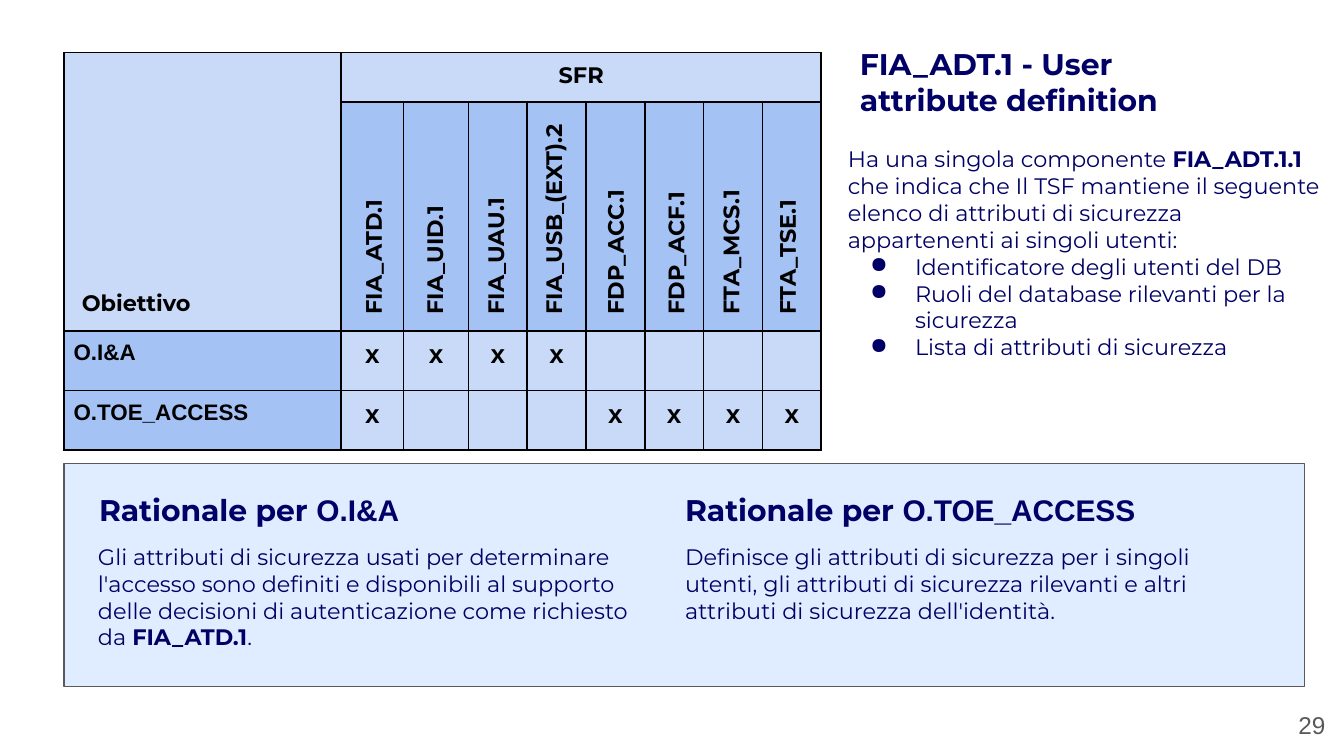
"""Builds a slide that maps security objectives to SFRs, with their rationale."""
from dataclasses import dataclass

import lxml.etree
import pptx
import pptx.dml.color
import pptx.enum.shapes
import pptx.enum.text
import pptx.oxml
import pptx.oxml.ns
import pptx.util

Pt = pptx.util.Pt
Align = pptx.enum.text.PP_ALIGN
Fit = pptx.enum.text.MSO_AUTO_SIZE
tag = pptx.oxml.ns.qn


@dataclass
class Theme:
    navy: str = "000066"
    black: str = "000000"
    gray: str = "595959"
    pale: str = "C9DAF8"
    blue: str = "A4C2F4"
    ice: str = "E0ECFF"
    head: int = 16
    mark: int = 14
    page: int = 13
    body: int = 12
    main: str = "Montserrat"
    alt: str = "Arial"


theme = Theme()


def tint(name):
    return pptx.dml.color.RGBColor.from_string(name)


def write(para, text, size=theme.body, font=theme.main, color=theme.navy, bold=False, align=None):
    run = para.add_run()
    run.text = text
    run.font.size = Pt(size)
    run.font.name = font
    run.font.bold = bold
    run.font.color.rgb = tint(color)
    if align is not None:
        para.alignment = align


deck = pptx.Presentation()
deck.slide_width, deck.slide_height = Pt(720), Pt(405)
slide = deck.slides.add_slide(deck.slide_layouts[6])
shapes = slide.shapes

labels = [
    ("FIA_ATD.1", 33.4, 199.8, 100),
    ("FIA_UID.1", 34.8, 232.6, 102),
    ("FIA_UAU.1", 31.5, 265.3, 78.5),
    ("FIA_USB_(EXT).2", 31.5, 296.3, 120),
    ("FDP_ACC.1", 31.5, 329.4, 120),
    ("FDP_ACF.1", 31.5, 361.8, 120),
    ("FTA_MCS.1", 31.5, 391.3, 120),
    ("FTA_TSE.1", 31.5, 421.6, 120),
]
goals = [("O.I&A", {1, 2, 3, 4}), ("O.TOE_ACCESS", {1, 5, 6, 7, 8})]
heights = [26.6, 122.4, 31.6, 31.6]
widths = [148.4] + [label[1] for label in labels]

frame = shapes.add_table(
    len(heights), len(widths), Pt(34.4), Pt(28.2), Pt(sum(widths)), Pt(sum(heights))
)
grid = frame.table
for row, height in zip(grid.rows, heights):
    row.height = Pt(height)
for col, width in zip(grid.columns, widths):
    col.width = Pt(width)

for r in range(len(heights)):
    for c in range(len(widths)):
        cell = grid.cell(r, c)
        cell.margin_left = cell.margin_right = Pt(5)
        cell.margin_top = cell.margin_bottom = Pt(5)
        deep = (r == 1 and c > 0) or (r > 1 and c == 0)
        cell.fill.solid()
        cell.fill.fore_color.rgb = tint(theme.blue if deep else theme.pale)
        props = cell._tc.get_or_add_tcPr()
        for spot, side in enumerate(("a:lnL", "a:lnR", "a:lnT", "a:lnB")):
            line = lxml.etree.Element(tag(side), w=str(Pt(1)))
            fill = lxml.etree.SubElement(line, tag("a:solidFill"))
            lxml.etree.SubElement(fill, tag("a:srgbClr"), val=theme.black)
            props.insert(spot, line)

grid.cell(0, 0).merge(grid.cell(1, 0))
grid.cell(0, 1).merge(grid.cell(0, len(labels)))
top = grid.cell(0, 1).text_frame.paragraphs[0]
write(top, "SFR", color=theme.black, bold=True, align=Align.CENTER)
for r, (goal, marks) in enumerate(goals, 2):
    para = grid.cell(r, 0).text_frame.paragraphs[0]
    write(para, goal, font=theme.alt, color=theme.black, bold=True)
    for c in marks:
        para = grid.cell(r, c).text_frame.paragraphs[0]
        write(para, "x", size=theme.mark, font=theme.alt, color=theme.black,
              bold=True, align=Align.CENTER)

panel = shapes.add_shape(
    pptx.enum.shapes.MSO_SHAPE.RECTANGLE, Pt(34.4), Pt(248.4), Pt(664.6), Pt(119.5)
)
panel.shadow.inherit = False
panel.fill.solid()
panel.fill.fore_color.rgb = tint(theme.ice)
panel.line.color.rgb = tint(theme.gray)
panel.line.width = Pt(0.75)

dark = dict(color=theme.black, bold=True)
title = dict(size=theme.head, bold=True)
strong = dict(bold=True)
sans = dict(title, font=theme.alt)
side = dict(size=theme.page, font=theme.alt, color=theme.gray, align=Align.RIGHT)

boxes = [
    (36.7, 147.6, 123.8, 28.8, 0, [[("Obiettivo", dark)]]),
    (673.9, 373.5, 43.2, 31, 0, [[("29", side)]]),
    (453.6, 17.3, 186.5, 53.3, 0, [[("FIA_ADT.1 - User attribute definition", title)]]),
    (46, 256.3, 224, 33.8, 0, [[("Rationale per ", title), ("O.I&A", sans)]]),
    (45.4, 283.7, 309, 72.7, 0, [[
        ("Gli attributi di sicurezza usati per determinare l'accesso sono definiti e "
         "disponibili al supporto delle decisioni di autenticazione come richiesto da ", {}),
        ("FIA_ATD.1", strong), (".", {})]]),
    (447.1, 70.6, 272.9, 131, 0, [
        [("Ha una singola componente ", {}), ("FIA_ADT.1.1", strong),
         (" che indica che Il TSF mantiene il seguente elenco di attributi di sicurezza "
          "appartenenti ai singoli utenti:", {})],
        [("Identificatore degli utenti del DB", {})],
        [("Ruoli del database rilevanti per la sicurezza", {})],
        [("Lista di attributi di sicurezza", {})]]),
    (360, 256.3, 259.2, 33.8, 0, [[("Rationale per ", title), ("O.TOE_ACCESS", sans)]]),
    (360, 283.7, 309, 58.3, 0, [[
        ("Definisce gli attributi di sicurezza per i singoli utenti, gli attributi di "
         "sicurezza rilevanti e altri attributi di sicurezza dell'identità.", {})]]),
]
for name, _, mid, width in labels:
    boxes.append((mid - width / 2, 175.5 - width / 2 - 14.4, width, 28.8, 270, [[(name, dark)]]))

for left, y, width, height, turn, paras in boxes:
    box = shapes.add_textbox(Pt(left), Pt(y), Pt(width), Pt(height))
    box.rotation = turn
    body = box.text_frame
    body.word_wrap = True
    body.auto_size = Fit.NONE
    body.margin_left = body.margin_right = Pt(7.2)
    body.margin_top = body.margin_bottom = Pt(7.2)
    for order, runs in enumerate(paras):
        para = body.add_paragraph() if order else body.paragraphs[0]
        for text, style in runs:
            write(para, text, **style)
        if order:
            props = para._p.get_or_add_pPr()
            props.set("marL", str(Pt(36)))
            props.set("indent", str(-Pt(24)))
            shade = lxml.etree.SubElement(props, tag("a:buClr"))
            lxml.etree.SubElement(shade, tag("a:srgbClr"), val=theme.navy)
            lxml.etree.SubElement(props, tag("a:buChar"), char="●")

deck.save("out.pptx")
